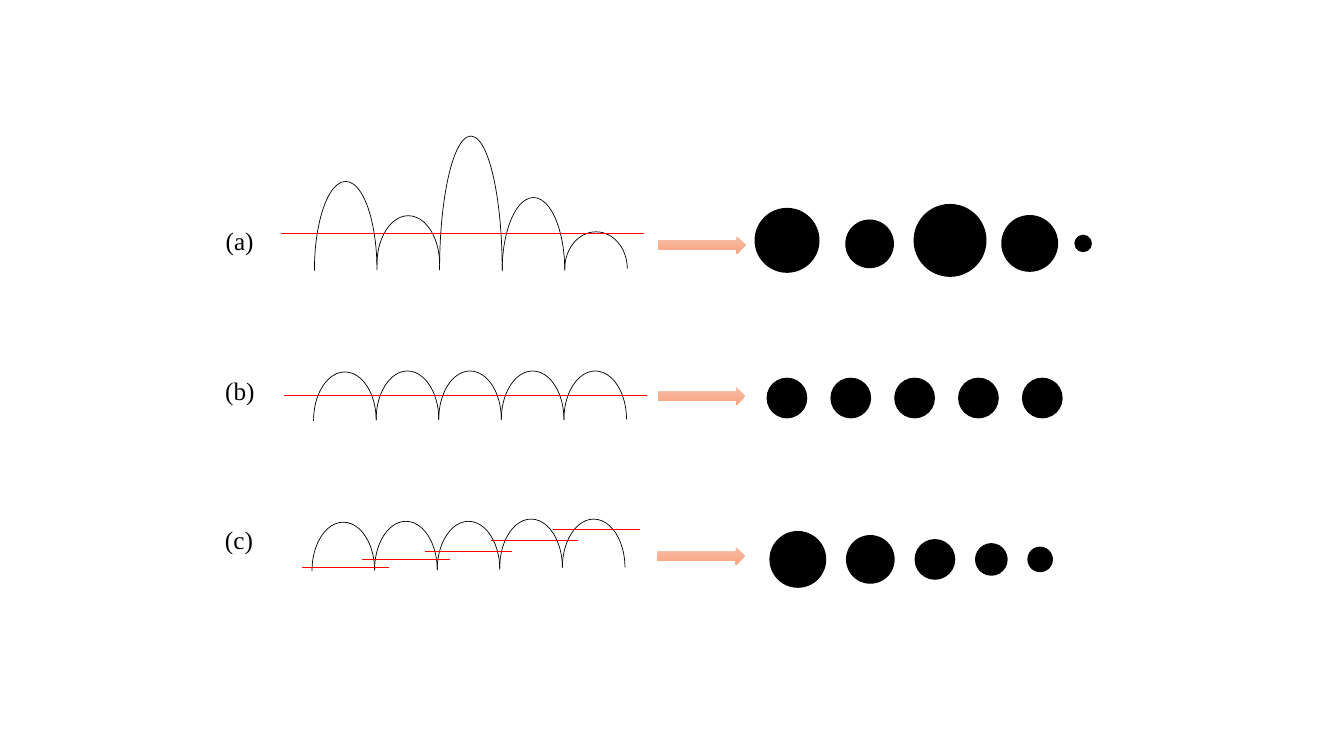
from dataclasses import dataclass

from lxml.etree import SubElement
from pptx import Presentation
from pptx.dml.color import RGBColor as Rgb
from pptx.enum.shapes import MSO_CONNECTOR as Link, MSO_SHAPE as Kind
from pptx.enum.text import MSO_AUTO_SIZE as Fit
from pptx.oxml.ns import qn
from pptx.util import Pt


@dataclass(frozen=True)
class Theme:
    """Colours, type and line widths of the slide."""
    ink: Rgb = Rgb(0, 0, 0)
    cut: Rgb = Rgb(255, 0, 0)
    pale: Rgb = Rgb(0xF7, 0xBD, 0xA5)
    deep: Rgb = Rgb(0xF8, 0xA5, 0x82)
    font: str = "Times New Roman"
    size: float = 18
    thin: float = 0.5
    edge: float = 1


@dataclass(frozen=True)
class Row:
    """One case: arches (top, height), cuts (x, y), discs (x, y, diameter)."""
    name: str
    left: float
    mid: float
    text_top: float
    wave: float
    arches: list
    cuts: list
    span: float
    discs: list


THEME = Theme()
PITCH = 44.7
ROWS = [
    Row("(a)", 154.1, 175, -17.5, 70.5,
        [(-45.4, 126.7), (-20.9, 69.1), (-77.8, 190.8), (-33.9, 104.4), (-9.4, 52.6)],
        [(46.8, -8)], 259.2,
        [(408.1, -3.3, 45.4), (467.1, -0.8, 33.8), (524.5, -3.3, 51.1),
         (581.4, -1.1, 39.6), (619.6, -1.1, 11.5)]),
    Row("(b)", 153.8, 283, -18.8, 70.2,
        [(top, 69.1) for top in (-17.3, -18, -18, -18, -18)],
        [(48.8, -0.8)], 259.2,
        [(408.3 + 45.6 * i, 1.3, 28.1) for i in range(5)]),
    Row("(c)", 153.6, 397.2, -26.4, 69.3,
        [(top, 69.1) for top in (-24.2, -24.8, -24.8, -26.4, -26.4)],
        [(62.4, 7.8), (105.3, 2.4), (150.2, -3.4), (196.8, -11.3), (241.4, -19.2)], 62.2,
        [(416.3, 2.4, 39.6), (468.1, 2.4, 33.8), (514.2, 2.4, 28.1),
         (554.5, 2.4, 22.3), (589.4, 2.4, 17.3)]),
]


def add_form(slide, kind, *box):
    """Add a shadowless preset shape at a box in points."""
    form = slide.shapes.add_shape(kind, *map(Pt, box))
    form.shadow.inherit = False
    return form


def stroke(line, color, width):
    """Give a line its colour and width."""
    line.color.rgb = color
    line.width = Pt(width)


def add_label(slide, text, left, top):
    """Place a row label."""
    box = slide.shapes.add_textbox(Pt(left), Pt(top), Pt(37), Pt(29))
    frame = box.text_frame
    frame.word_wrap = False
    frame.auto_size = Fit.SHAPE_TO_FIT_TEXT
    frame.text = text
    font = frame.paragraphs[0].font
    font.name, font.size = THEME.font, Pt(THEME.size)
    font.color.rgb = THEME.ink


def add_wave(slide, row, left, mid):
    """Draw the arches side by side and the cuts across them."""
    for i, (top, height) in enumerate(row.arches):
        arch = add_form(slide, Kind.ARC, left + row.wave + i * PITCH, mid + top, PITCH, height)
        arch.adjustments[0] = 107.389
        arch.fill.background()
        stroke(arch.line, THEME.ink, THEME.thin)
    for x, y in row.cuts:
        ends = (left + x, mid + y, left + x + row.span, mid + y)
        cut = slide.shapes.add_connector(Link.STRAIGHT, *map(Pt, ends))
        stroke(cut.line, THEME.cut, THEME.thin)
        SubElement(cut.element.spPr, qn("a:effectLst"))


def add_arrow(slide, left, mid):
    """Draw the shaded arrow centred on the row."""
    arrow = add_form(slide, Kind.RIGHT_ARROW, left, mid - 6.5, 62.6, 13)
    arrow.line.fill.background()
    arrow.fill.gradient()
    arrow.fill.gradient_angle = 270
    for stop, color in zip(arrow.fill.gradient_stops, (THEME.pale, THEME.deep)):
        stop.color.rgb = color


def add_discs(slide, discs, left, mid):
    """Draw the discs around their centres."""
    for x, y, size in discs:
        disc = add_form(slide, Kind.OVAL, left + x - size / 2, mid + y - size / 2, size, size)
        disc.fill.solid()
        disc.fill.fore_color.rgb = THEME.ink
        stroke(disc.line, THEME.ink, THEME.edge)


def add_row(slide, row):
    """Place all parts of one case relative to its left edge and middle."""
    add_label(slide, row.name, row.left, row.mid + row.text_top)
    add_wave(slide, row, row.left, row.mid)
    add_arrow(slide, row.left + 316, row.mid)
    add_discs(slide, row.discs, row.left, row.mid)


def main():
    """Build and save the slide."""
    deck = Presentation()
    deck.slide_width, deck.slide_height = Pt(960), Pt(540)
    slide = deck.slides.add_slide(deck.slide_layouts[6])
    for row in ROWS:
        add_row(slide, row)
    deck.save("out.pptx")


if __name__ == "__main__":
    main()
